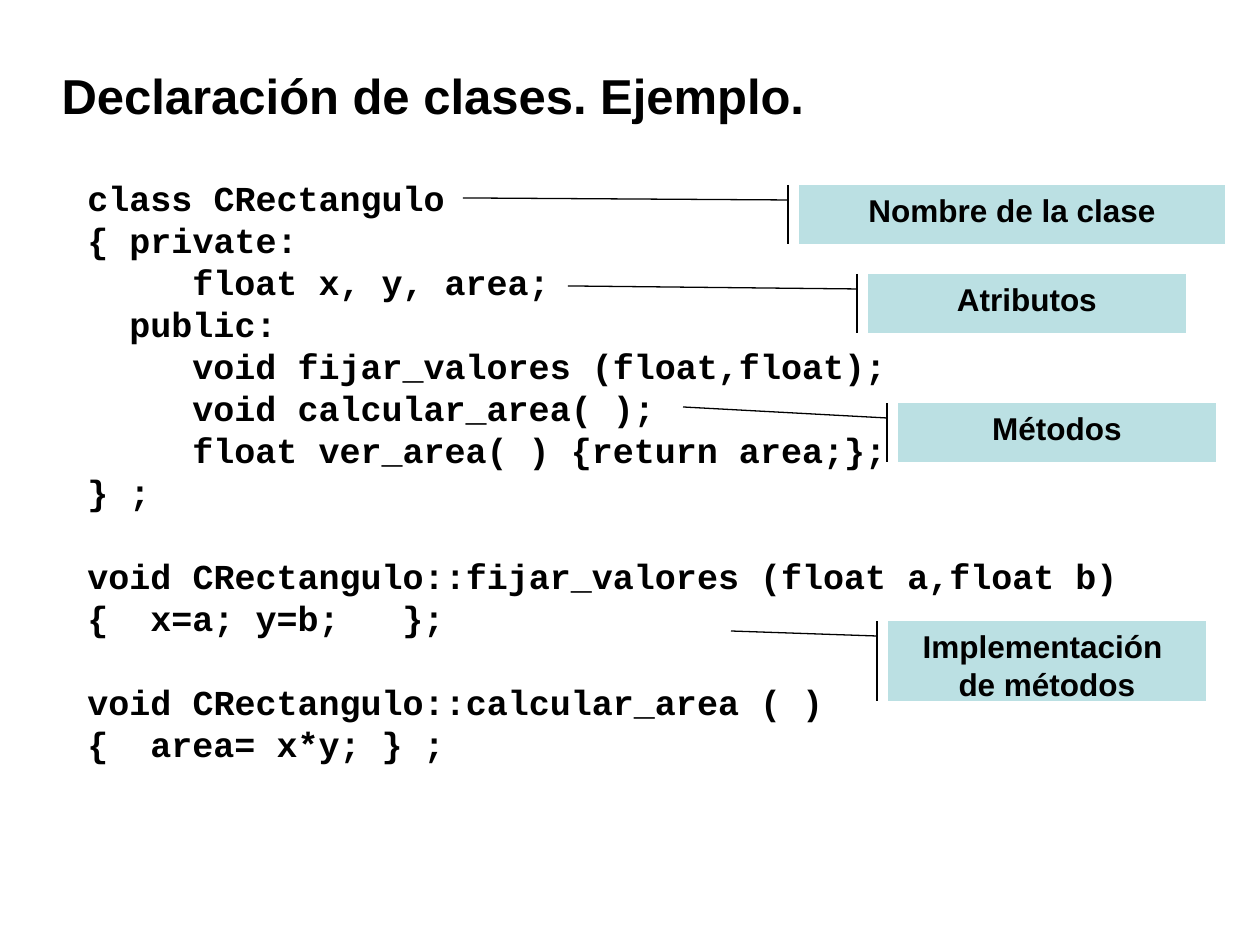
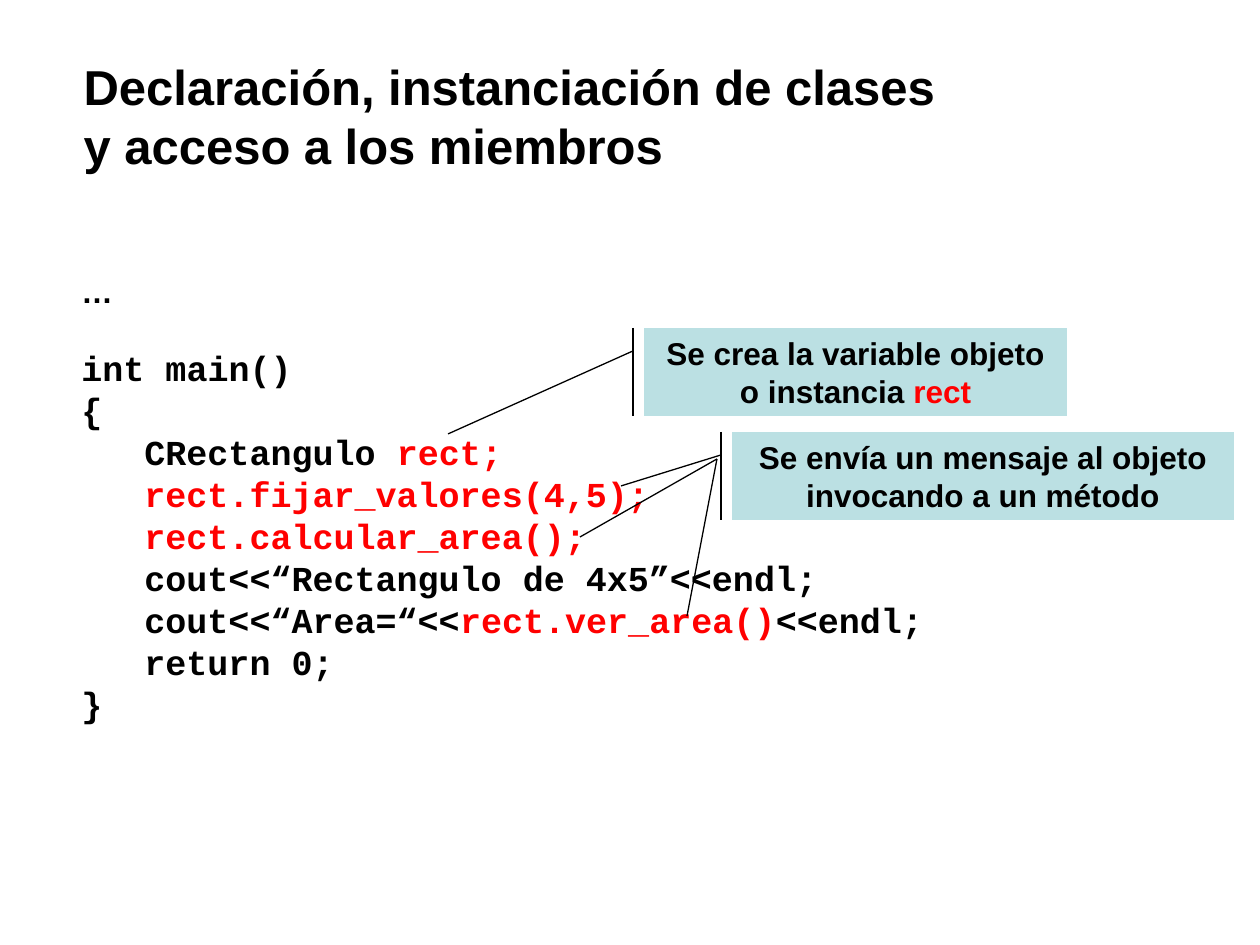
import copy

import lxml.etree
import pptx
import pptx.dml.color
import pptx.enum.shapes
import pptx.enum.text
import pptx.oxml.ns
import pptx.util

PX = 914400 / 126
BLACK = pptx.dml.color.RGBColor(0x00, 0x00, 0x00)
RED = pptx.dml.color.RGBColor(0xFF, 0x00, 0x00)
WHITE = pptx.dml.color.RGBColor(0xFF, 0xFF, 0xFF)
CALLOUT_BLUE = pptx.dml.color.RGBColor(0xBB, 0xE0, 0xE3)
PROSE_FONT, CODE_FONT = "Arial", "Courier New"
TITLE_SIZE, CALLOUT_SIZE, CODE_SIZE = 28, 18, 20
CODE_COLUMN = 21
BAR_GAP = 11
TITLE_ONLY = 5

qn = pptx.oxml.ns.qn

# Code lines: (indent in columns, text, columns of tab stops, points before).
# Text between bars is red.
CLASS_CODE = [
    (0, "class CRectangulo", (), 0),
    (0, "{ private:", (), 0),
    (5, "float x, y, area;", (), 0),
    (2, "public:", (), 0),
    (5, "void fijar_valores (float,float);", (), 0),
    (5, "void calcular_area( );", (), 0),
    (5, "float ver_area( ) {return area;};", (), 0),
    (0, "} ;", (), 0),
    (0, "void CRectangulo::fijar_valores (float a,float b)", (), 24),
    (0, "{\tx=a; y=b;\t};", (4, 15), 0),
    (0, "void CRectangulo::calcular_area ( )", (), 24),
    (0, "{\tarea= x*y; } ;", (3,), 0),
]
MAIN_CODE = [
    (0, "int main()", (), 21),
    (0, "{", (), 0),
    (3, "CRectangulo| rect;", (), 0),
    (3, "|rect.fijar_valores(4,5);", (), 0),
    (3, "|rect.calcular_area();", (), 0),
    (3, "cout<<“Rectangulo de 4x5”<<endl;", (), 0),
    (3, "cout<<“Area=“<<|rect.ver_area()|<<endl;", (), 0),
    (3, "return 0;", (), 0),
    (0, "}", (), 0),
]

# Callouts: text, box, point the line leads to.
CLASS_CALLOUTS = [
    ("Nombre de la clase", (799, 185, 426, 59), (463, 198)),
    ("Atributos", (868, 274, 318, 59), (568, 286)),
    ("Métodos", (898, 403, 318, 59), (683, 407)),
    ("Implementación \vde métodos", (888, 621, 318, 80), (731, 631)),
]
INSTANCE_CALLOUT = ("Se crea la variable objeto o instancia |rect",
                    (644, 328, 423, 88), (448, 434))
MESSAGE_CALLOUT = ("Se envía un mensaje al objeto invocando a un método",
                   (732, 432, 502, 88), (621, 486))
MESSAGE_ORIGIN = (717, 459)
OTHER_MESSAGES = [(580, 537), (687, 616)]


def px(*lengths):
    return [pptx.util.Emu(round(length * PX)) for length in lengths]


def write(paragraph, marked_text, font_name, size):
    """Write bold text in which every second part between bars is red."""
    parts = marked_text.split("|")
    paragraph.text = parts[0]
    first_runs = len(paragraph.runs)
    for part in parts[1:]:
        paragraph.add_run().text = part
    for index, run in enumerate(paragraph.runs):
        run.font.name = font_name
        run.font.size = pptx.util.Pt(size)
        run.font.bold = True
        is_red = index >= first_runs and (index - first_runs) % 2 == 0
        run.font.color.rgb = RED if is_red else BLACK
    for line_break in paragraph._p.findall(qn("a:br")):
        line_break.append(copy.deepcopy(paragraph.runs[0]._r.rPr))


def add_titled_slide(deck, title_text, box):
    slide = deck.slides.add_slide(deck.slide_layouts[TITLE_ONLY])
    title = slide.shapes.title
    title.left, title.top, title.width, title.height = px(*box)
    frame = title.text_frame
    frame.word_wrap = True
    frame.auto_size = pptx.enum.text.MSO_AUTO_SIZE.NONE
    frame.vertical_anchor = pptx.enum.text.MSO_ANCHOR.MIDDLE
    heading = frame.paragraphs[0]
    write(heading, title_text, PROSE_FONT, TITLE_SIZE)
    heading.alignment = pptx.enum.text.PP_ALIGN.LEFT
    return slide


def write_code_line(paragraph, indent, text, tab_columns, space_before):
    write(paragraph, text, CODE_FONT, CODE_SIZE)
    paragraph.space_before = pptx.util.Pt(space_before)
    properties = paragraph._p.get_or_add_pPr()
    properties.set("marL", str(px(indent * CODE_COLUMN)[0]))
    properties.set("indent", "0")
    if tab_columns:
        stops = lxml.etree.SubElement(properties, qn("a:tabLst"))
        for column in tab_columns:
            position = str(px(column * CODE_COLUMN)[0])
            lxml.etree.SubElement(stops, qn("a:tab"), pos=position, algn="l")


def add_code(slide, box, code_lines, lead=None):
    """Add a white code panel, opened by a line of prose if lead is given."""
    panel = slide.shapes.add_textbox(*px(*box))
    panel.fill.solid()
    panel.fill.fore_color.rgb = WHITE
    frame = panel.text_frame
    frame.word_wrap = True
    paragraph = frame.paragraphs[0]
    if lead:
        write(paragraph, lead, PROSE_FONT, CALLOUT_SIZE)
        paragraph = frame.add_paragraph()
    for index, code_line in enumerate(code_lines):
        if index:
            paragraph = frame.add_paragraph()
        write_code_line(paragraph, *code_line)


def add_callout(shapes, text, box, target, joint):
    """Add a box whose side bar has a line, joint px below its top, to target."""
    left, top, width, height = box
    callout = shapes.add_shape(
        pptx.enum.shapes.MSO_SHAPE.LINE_CALLOUT_1_ACCENT_BAR, *px(*box))
    handles = (joint / height, -BAR_GAP / width,
               (target[1] - top) / height, (target[0] - left) / width)
    for index, handle in enumerate(handles):
        callout.adjustments[index] = handle
    callout.shadow.inherit = False
    callout.fill.solid()
    callout.fill.fore_color.rgb = CALLOUT_BLUE
    callout.line.color.rgb = BLACK
    callout.line.width = pptx.util.Pt(0.75)
    frame = callout.text_frame
    frame.word_wrap = True
    frame.vertical_anchor = pptx.enum.text.MSO_ANCHOR.TOP
    label = frame.paragraphs[0]
    label.alignment = pptx.enum.text.PP_ALIGN.CENTER
    write(label, text, PROSE_FONT, CALLOUT_SIZE)


def add_pointer(shapes, start, end):
    pointer = shapes.add_connector(
        pptx.enum.shapes.MSO_CONNECTOR.STRAIGHT, *px(*start, *end))
    pointer.line.color.rgb = BLACK
    pointer.line.width = pptx.util.Pt(0.75)
    lxml.etree.SubElement(pointer._element.spPr, qn("a:effectLst"))


def build_class_slide(deck):
    slide = add_titled_slide(deck, "Declaración de clases. Ejemplo.",
                             (49, 49, 1024, 91))
    add_code(slide, (75, 170, 1091, 643), CLASS_CODE)
    for callout in CLASS_CALLOUTS:
        add_callout(slide.shapes, *callout, joint=15)


def build_instance_slide(deck):
    slide = add_titled_slide(
        deck, "Declaración, instanciación de clases \vy acceso a los miembros",
        (71, 71, 1111, 89))
    add_code(slide, (69, 266, 1113, 509), MAIN_CODE, lead="…")
    add_callout(slide.shapes, *INSTANCE_CALLOUT, joint=23)
    messages = slide.shapes.add_group_shape().shapes
    add_callout(messages, *MESSAGE_CALLOUT, joint=23)
    for target in OTHER_MESSAGES:
        add_pointer(messages, MESSAGE_ORIGIN, target)


def main():
    deck = pptx.Presentation()
    deck.slide_width, deck.slide_height = px(1260, 945)
    build_class_slide(deck)
    build_instance_slide(deck)
    deck.save("out.pptx")


if __name__ == "__main__":
    main()
